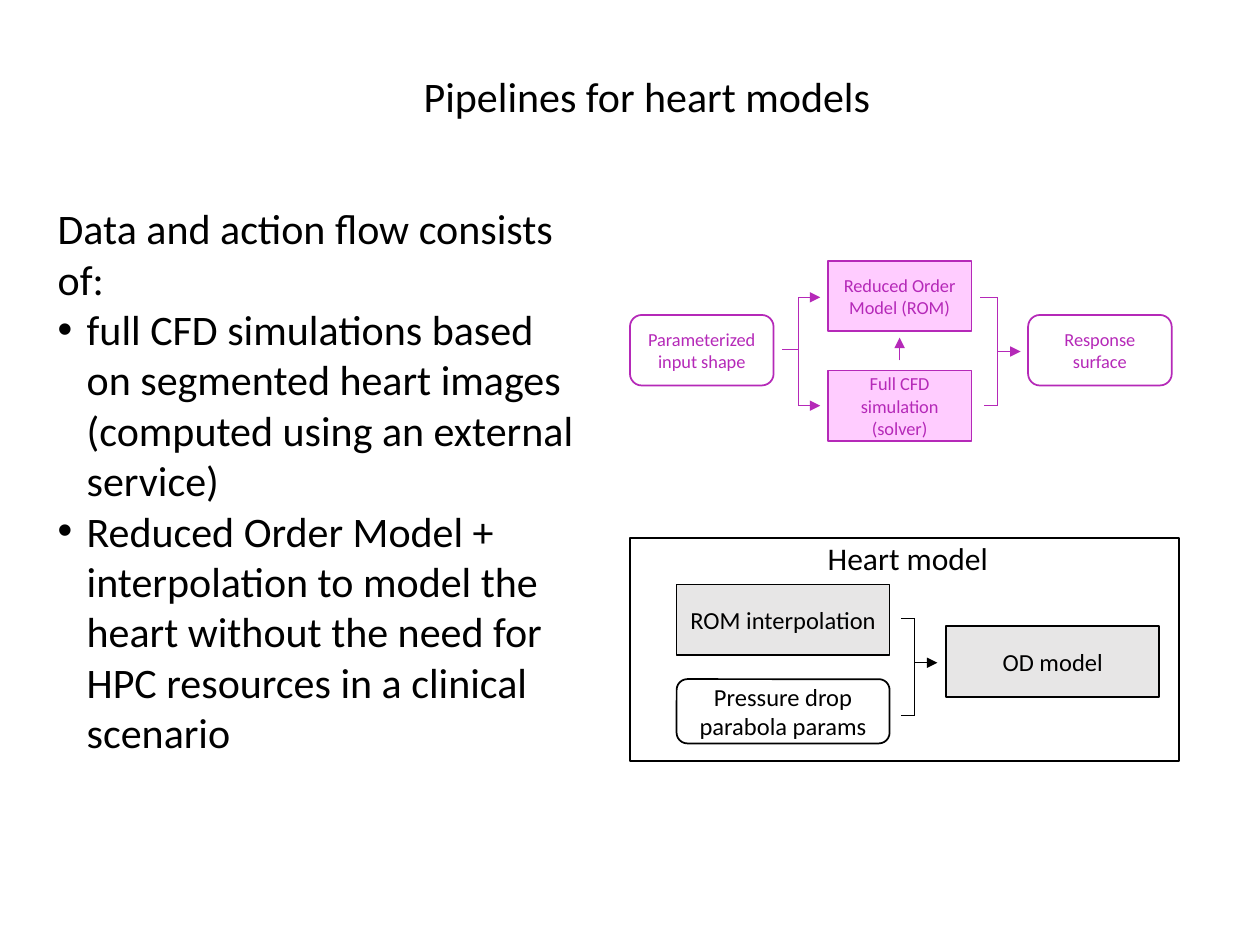
from lxml import etree
from pptx import Presentation
from pptx.dml.color import RGBColor
from pptx.enum.shapes import MSO_CONNECTOR, MSO_SHAPE
from pptx.enum.text import MSO_ANCHOR, MSO_AUTO_SIZE, PP_ALIGN
from pptx.oxml.ns import qn
from pptx.util import Inches, Pt

FONT = "Calibri"
COLORS = {"black": "000000", "purple": "B529B8", "pink": "FFCCFF", "gray": "E7E6E6"}
RECT, ROUND = MSO_SHAPE.RECTANGLE, MSO_SHAPE.ROUNDED_RECTANGLE

TITLE = "Pipelines for heart models"
INTRO = "Data and action flow consists of:"
BULLETS = [
    "full CFD simulations based on segmented heart images (computed using an external service)",
    "Reduced Order Model + interpolation to model the heart without the need for HPC resources "
    "in a clinical scenario",
]

# text, left, top, preset, fill
ROM_WIDTH, ROM_HEIGHT = 1.14, 0.56
ROM_BOXES = [
    ("Parameterized input shape", 5, 2.5, ROUND, None),
    ("Response surface", 8.16, 2.5, ROUND, None),
    ("Full CFD simulation (solver)", 6.57, 2.94, ROUND, "pink"),
    ("Reduced Order Model (ROM)", 6.57, 2.07, ROUND, "pink"),
]
# text, left, top, height, preset, fill
HEART_WIDTH = 1.69
HEART_BOXES = [
    ("ROM interpolation", 5.37, 4.64, 0.56, RECT, "gray"),
    ("OD model", 7.51, 4.97, 0.56, RECT, "gray"),
    ("Pressure drop parabola params", 5.37, 5.39, 0.51, ROUND, None),
]
# start x, start y, end x, end y, arrowhead at the end
ROM_LINES = [
    (7.14, 2.86, 7.14, 2.68, True),
    (6.21, 2.77, 6.34, 2.77, False),
    (6.34, 2.36, 6.34, 3.22, False),
    (6.34, 2.36, 6.51, 2.36, True),
    (6.34, 3.22, 6.51, 3.22, True),
    (7.78, 2.36, 7.92, 2.36, False),
    (7.81, 3.22, 7.92, 3.22, False),
    (7.92, 2.36, 7.92, 3.22, False),
    (7.92, 2.79, 8.1, 2.79, True),
]
HEART_LINES = [
    (7.15, 4.91, 7.26, 4.91, False),
    (7.15, 5.68, 7.26, 5.68, False),
    (7.26, 4.91, 7.26, 5.68, False),
    (7.26, 5.26, 7.44, 5.26, True),
]


def rgb(name):
    return RGBColor.from_string(COLORS[name])


def write(paragraph, text, size, color="black", align=PP_ALIGN.CENTER):
    paragraph.alignment = align
    run = paragraph.add_run()
    run.text = text
    run.font.name = FONT
    run.font.size = Pt(size)
    run.font.color.rgb = rgb(color)


def add_box(slide, text, place, preset, fill, color, size):
    shape = slide.shapes.add_shape(preset, *map(Inches, place))
    shape.shadow.inherit = False
    shape.line.color.rgb = rgb(color)
    shape.line.width = Pt(1)
    if fill:
        shape.fill.solid()
        shape.fill.fore_color.rgb = rgb(fill)
        if preset == ROUND:
            shape.adjustments[0] = 0
    else:
        shape.fill.background()
    if text:
        frame = shape.text_frame
        frame.word_wrap = True
        frame.vertical_anchor = MSO_ANCHOR.MIDDLE
        write(frame.paragraphs[0], text, size, color)


def add_line(slide, ends, arrow, color):
    line = slide.shapes.add_connector(MSO_CONNECTOR.STRAIGHT, *map(Inches, ends))
    line.line.color.rgb = rgb(color)
    line.line.width = Pt(0.5)
    if arrow:
        etree.SubElement(line.line._get_or_add_ln(), qn("a:tailEnd"), type="triangle")
    etree.SubElement(line._element.spPr, qn("a:effectLst"))


def add_bullet(paragraph, indent):
    properties = paragraph._p.get_or_add_pPr()
    properties.set("marL", str(Inches(indent)))
    properties.set("indent", str(-Inches(indent)))
    etree.SubElement(properties, qn("a:buFont"), typeface="Arial")
    etree.SubElement(properties, qn("a:buChar"), char="•")


def add_title(slide):
    title = slide.shapes.title
    title.left, title.top, title.width, title.height = map(Inches, (2.21, 0.29, 5.85, 0.94))
    frame = title.text_frame
    frame.vertical_anchor = MSO_ANCHOR.MIDDLE
    frame.margin_left = frame.margin_right = Inches(0.07)
    frame.margin_top = frame.margin_bottom = Inches(0.04)
    write(frame.paragraphs[0], TITLE, 24)


def add_body(slide):
    frame = slide.shapes.add_textbox(*map(Inches, (0.36, 1.56, 4.37, 4.54))).text_frame
    frame.word_wrap = True
    frame.auto_size = MSO_AUTO_SIZE.SHAPE_TO_FIT_TEXT
    write(frame.paragraphs[0], INTRO, 24, align=PP_ALIGN.LEFT)
    for text in BULLETS:
        paragraph = frame.add_paragraph()
        write(paragraph, text, 24, align=PP_ALIGN.LEFT)
        add_bullet(paragraph, 0.23)


def add_rom_pipeline(slide):
    for text, left, top, preset, fill in ROM_BOXES:
        add_box(slide, text, (left, top, ROM_WIDTH, ROM_HEIGHT), preset, fill, "purple", 10.5)
    for *ends, arrow in ROM_LINES:
        add_line(slide, ends, arrow, "purple")


def add_heart_model(slide):
    add_box(slide, "", (5, 4.27, 4.36, 1.77), RECT, None, "black", 14)
    for text, left, top, height, preset, fill in HEART_BOXES:
        add_box(slide, text, (left, top, HEART_WIDTH, height), preset, fill, "black", 14)
    for *ends, arrow in HEART_LINES:
        add_line(slide, ends, arrow, "black")
    frame = slide.shapes.add_textbox(*map(Inches, (6.46, 4.23, 1.49, 0.4))).text_frame
    frame.word_wrap = False
    frame.auto_size = MSO_AUTO_SIZE.SHAPE_TO_FIT_TEXT
    write(frame.paragraphs[0], "Heart model", 18)


def main():
    presentation = Presentation()
    presentation.slide_width, presentation.slide_height = Inches(10), Inches(7.5)
    slide = presentation.slides.add_slide(presentation.slide_layouts[5])
    add_title(slide)
    add_body(slide)
    add_rom_pipeline(slide)
    add_heart_model(slide)
    presentation.save("out.pptx")


if __name__ == "__main__":
    main()
